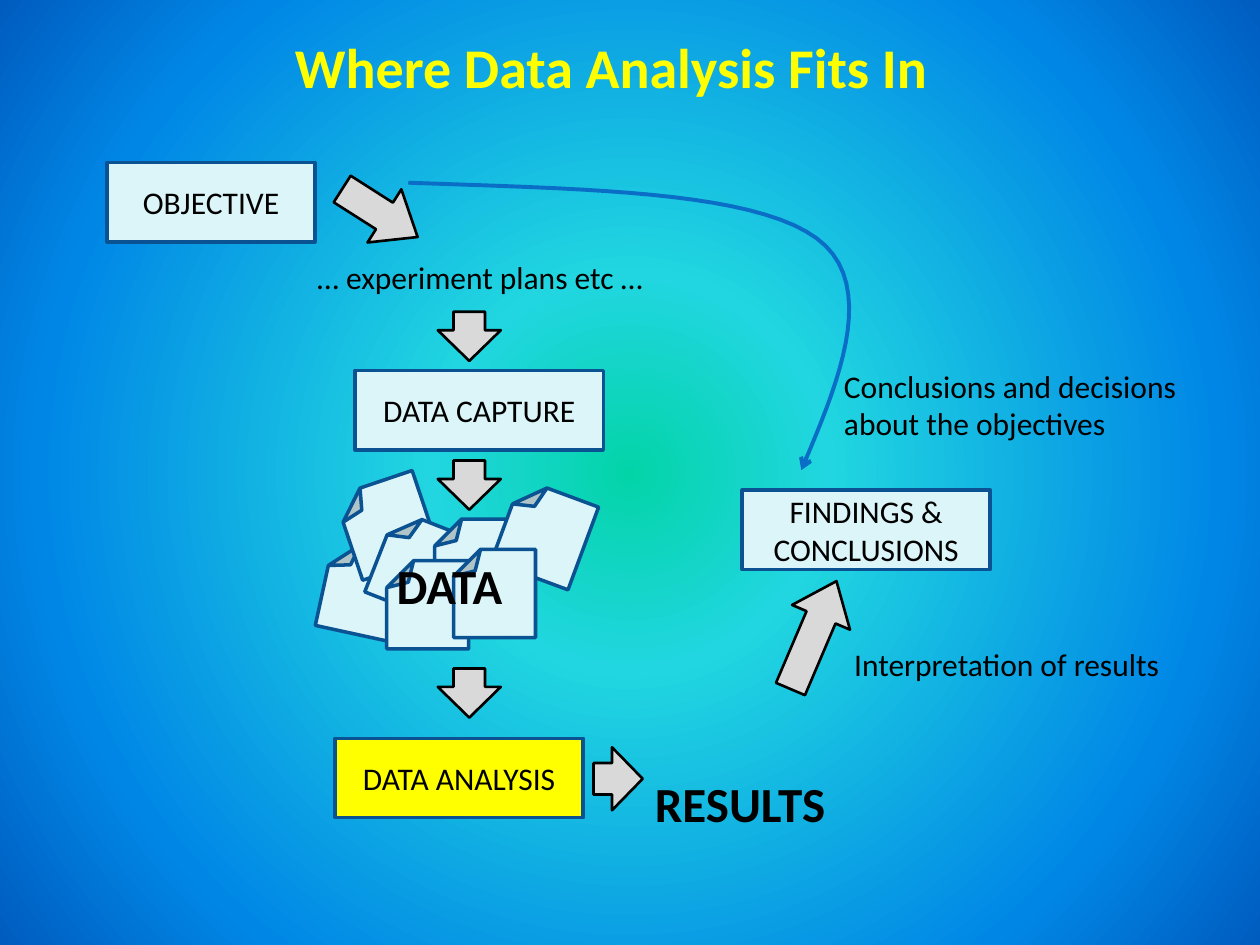
from pptx import Presentation
from pptx.dml.color import RGBColor
from pptx.enum.shapes import MSO_SHAPE
from pptx.enum.text import MSO_ANCHOR, MSO_AUTO_SIZE, PP_ALIGN
from pptx.oxml import parse_xml
from pptx.oxml.ns import nsdecls, qn
from pptx.util import Pt

BLACK = RGBColor(0x00, 0x00, 0x00)
YELLOW = RGBColor(0xFF, 0xFF, 0x00)
PALE = RGBColor(0xDB, 0xF5, 0xF9)
NAVY = RGBColor(0x0B, 0x52, 0x92)
GRAY = RGBColor(0xD9, 0xD9, 0xD9)
BLUE = RGBColor(0x0A, 0x6D, 0xC6)
BACKDROP = [
    (0, RGBColor(0x03, 0xD4, 0xA8)),
    (25, RGBColor(0x21, 0xD6, 0xE0)),
    (75, RGBColor(0x00, 0x87, 0xE6)),
    (100, RGBColor(0x00, 0x5C, 0xBF)),
]
FONT = "Calibri"

TITLE = ("Where Data Analysis Fits In", 161.3, 15.1, 379.4, 46.1)
STEP_HEIGHT = 45.4
STEPS = [
    ("OBJECTIVE", 61.2, 92.9, 118.8, PALE),
    ("DATA CAPTURE", 203, 211.7, 141.8, PALE),
    ("DATA ANALYSIS", 191.5, 421.9, 141.8, YELLOW),
    ("FINDINGS & CONCLUSIONS", 424.1, 280.1, 141.8, PALE),
]
LABELS = [
    (["… experiment plans etc …"], 174.2, 144, 203, 28.8, 18, False),
    (["Interpretation of results"], 481, 365, 190.8, 28.8, 18, False),
    (["Conclusions and decisions", "about the objectives"],
     475.2, 205.9, 206.6, 51.1, 18, False),
    (["DATA"], 219.6, 313.9, 75.6, 41, 28, True),
    (["RESULTS"], 367.2, 438.5, 113, 41, 28, True),
]
ARROW_WIDTH, SHORT, FLOW_X = 36, 28.1, 268.2
ARROW_HEAD = {"adj1": 50000, "adj2": 62500}
ARROWS = [
    (217.1, 121.7, 51.1, 212.5),
    (FLOW_X, 192.2, SHORT, 270),
    (FLOW_X, 277.2, SHORT, 270),
    (FLOW_X, 396, SHORT, 270),
    (353.2, 445, SHORT, 180),
    (464.8, 362.9, 67, 113.1),
]
PAGE_SIZE = (46.8, 50.4)
PAGE_FOLD = {"adj": 32800}
PAGES = [
    (208.4, 337.7, 192.3),
    (221.4, 300.2, 161.4),
    (239.4, 323.3, 201.4),
    (271.8, 321.8, 180),
    (311.4, 305.3, 200.3),
    (244.4, 345.6, 180),
    (282.6, 339.1, 180),
]
FEEDBACK = [
    [(457.9, 268.6), (476.6, 223.9), (504, 163.4), (466.6, 136.1)],
    [(466.6, 136.1), (429.1, 108.7), (330.5, 108), (233.3, 104.4)],
]
CURVE_STEPS = 20


def place(values):
    return [Pt(value) for value in values]


def paint_background(slide):
    stops = "".join(
        f'<a:gs pos="{pos * 1000}"><a:srgbClr val="{color}"/></a:gs>'
        for pos, color in BACKDROP)
    slide.background.fill.solid()
    properties = slide.element.find(".//" + qn("p:bgPr"))
    properties.replace(properties.find(qn("a:solidFill")), parse_xml(
        f'<a:gradFill {nsdecls("a")} rotWithShape="1"><a:gsLst>{stops}</a:gsLst>'
        '<a:path path="circle"><a:fillToRect l="50000" t="50000" r="50000" b="50000"/>'
        '</a:path></a:gradFill>'))


def write(paragraph, lines, size, color=BLACK, bold=False):
    for index, line in enumerate(lines):
        if index:
            paragraph.add_line_break()
        run = paragraph.add_run()
        run.text = line
        run.font.name, run.font.size, run.font.bold = FONT, Pt(size), bold
        run.font.color.rgb = color


def add_preset(slide, preset, box, fill, outline, weight, rotation=0, guides=None):
    shape = slide.shapes.add_shape(preset, *place(box))
    shape.shadow.inherit = False
    shape.fill.solid()
    shape.fill.fore_color.rgb = fill
    shape.line.color.rgb = outline
    shape.line.width = Pt(weight)
    shape.rotation = rotation
    if guides:
        geometry = shape.element.spPr.find(qn("a:prstGeom"))
        for old in geometry.findall(qn("a:avLst")):
            geometry.remove(old)
        entries = "".join(f'<a:gd name="{name}" fmla="val {value}"/>'
                          for name, value in guides.items())
        geometry.append(parse_xml(f'<a:avLst {nsdecls("a")}>{entries}</a:avLst>'))
    return shape


def centered(x, y, width, height):
    return x - width / 2, y - height / 2, width, height


def bezier(points, t):
    weights = ((1 - t) ** 3, 3 * t * (1 - t) ** 2, 3 * t ** 2 * (1 - t), t ** 3)
    return tuple(Pt(sum(w * p[axis] for w, p in zip(weights, points))) for axis in (0, 1))


def add_feedback(slide):
    points = [bezier(curve, step / CURVE_STEPS)
              for curve in FEEDBACK for step in range(1, CURVE_STEPS + 1)]
    builder = slide.shapes.build_freeform(*place(FEEDBACK[0][0]))
    builder.add_line_segments(points, close=False)
    feedback = builder.convert_to_shape()
    feedback.shadow.inherit = False
    feedback.fill.background()
    feedback.line.color.rgb = BLUE
    feedback.line.width = Pt(2.25)
    feedback.element.spPr.find(qn("a:ln")).append(
        parse_xml(f'<a:headEnd {nsdecls("a")} type="arrow"/>'))


def main():
    deck = Presentation()
    deck.slide_width, deck.slide_height = Pt(720), Pt(540)
    slide = deck.slides.add_slide(deck.slide_layouts[5])
    paint_background(slide)

    heading, *title_box = TITLE
    title = slide.shapes.title
    title.left, title.top, title.width, title.height = place(title_box)
    title.text_frame.word_wrap = False
    title.text_frame.vertical_anchor = MSO_ANCHOR.TOP
    title.text_frame.paragraphs[0].alignment = PP_ALIGN.LEFT
    write(title.text_frame.paragraphs[0], [heading], 32, YELLOW, True)

    for name, left, top, width, fill in STEPS:
        step = add_preset(slide, MSO_SHAPE.RECTANGLE,
                          (left, top, width, STEP_HEIGHT), fill, NAVY, 2)
        step.text_frame.word_wrap = True
        step.text_frame.vertical_anchor = MSO_ANCHOR.MIDDLE
        step.text_frame.paragraphs[0].alignment = PP_ALIGN.CENTER
        write(step.text_frame.paragraphs[0], [name], 18)

    for x, y, length, rotation in ARROWS:
        add_preset(slide, MSO_SHAPE.LEFT_ARROW, centered(x, y, length, ARROW_WIDTH),
                   GRAY, BLACK, 1.5, rotation, ARROW_HEAD)

    for x, y, rotation in PAGES:
        add_preset(slide, MSO_SHAPE.FOLDED_CORNER, centered(x, y, *PAGE_SIZE),
                   PALE, NAVY, 2, rotation, PAGE_FOLD)

    for lines, left, top, width, height, size, bold in LABELS:
        label = slide.shapes.add_textbox(*place((left, top, width, height)))
        label.text_frame.word_wrap = False
        label.text_frame.auto_size = MSO_AUTO_SIZE.SHAPE_TO_FIT_TEXT
        write(label.text_frame.paragraphs[0], lines, size, bold=bold)

    add_feedback(slide)
    deck.save("out.pptx")


if __name__ == "__main__":
    main()
